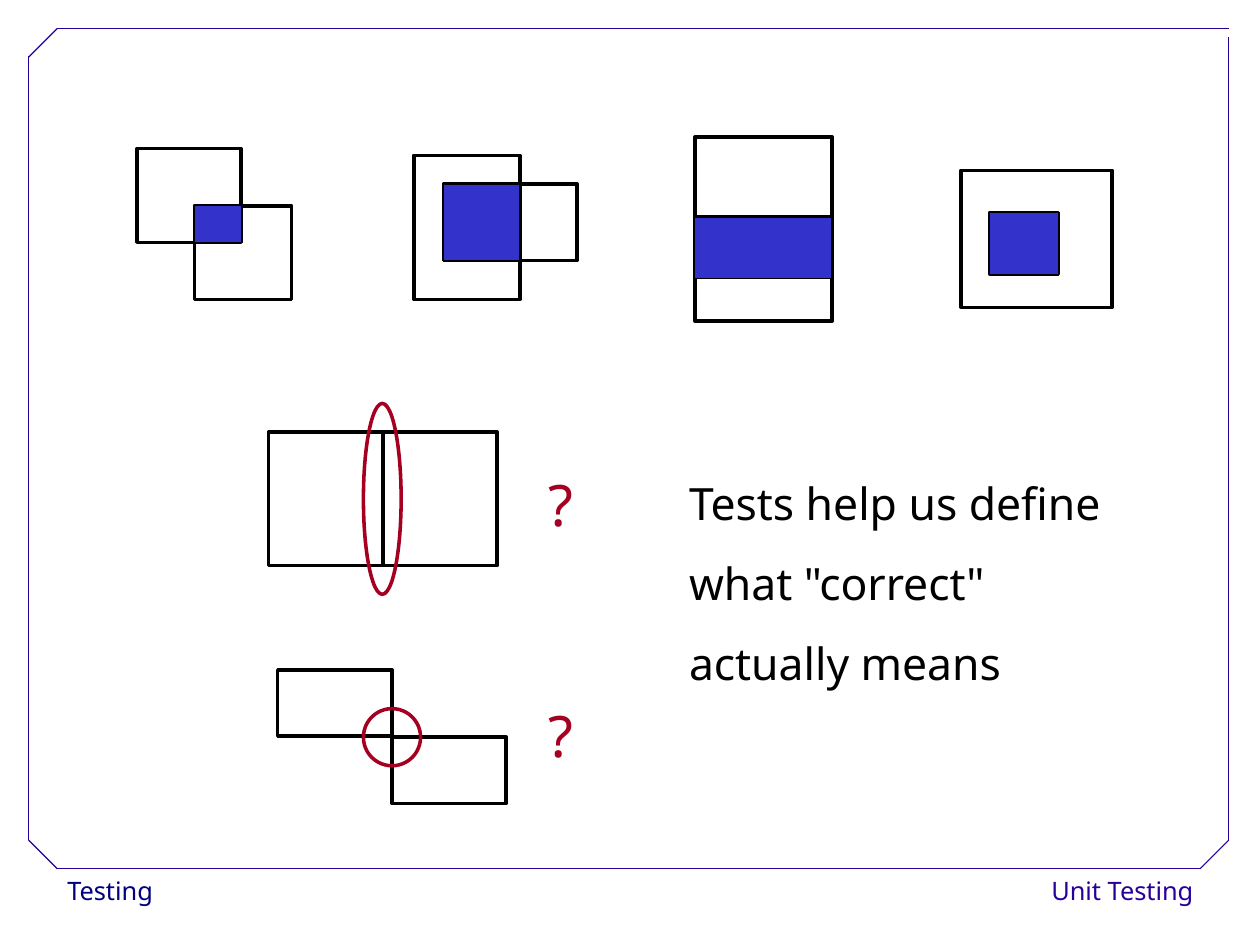
from pptx import Presentation
from pptx.dml.color import RGBColor
from pptx.enum.shapes import MSO_CONNECTOR, MSO_SHAPE
from pptx.enum.text import MSO_ANCHOR, PP_ALIGN
from pptx.oxml.ns import qn
from pptx.util import Cm, Pt
from lxml.etree import SubElement

PX = 9144
FONT = "Noto Sans"
BLACK, BLUE, RED, NAVY, EDGE = "000000", "3333CC", "A50021", "000080", "280099"
WHITE = "FFFFFF"
LEFT, RIGHT = PP_ALIGN.LEFT, PP_ALIGN.RIGHT

feet = [
    ((49, 760, 215, 40), "Testing", NAVY, LEFT),
    ((914, 760, 140, 40), "Unit Testing", EDGE, RIGHT),
]
frame = [
    (50, 760, 1050, 760), (25, 735, 25, 49), (50, 25, 1075, 25),
    (1075, 735, 1075, 32), (25, 50, 50, 25), (1050, 760, 1075, 735),
    (25, 735, 50, 760),
]
boxes = [
    (120, 130, 91, 82), (170, 180, 85, 82),
    (362, 136, 93, 126), (388, 161, 117, 67),
    (608, 120, 120, 120), (608, 190, 120, 91),
    (841, 149, 132, 120), (866, 186, 60, 54),
    (235, 378, 100, 117), (335, 378, 100, 117),
    (243, 586, 100, 58), (343, 645, 100, 58),
]
shared = [
    (170, 180, 41, 32), (388, 161, 67, 67),
    (608, 190, 120, 54), (866, 186, 60, 54),
]
rings = [(318, 353, 33, 167), (318, 620, 50, 50)]
texts = [
    ((470, 376, 141, 100), ["?"], 36, RED),
    ((470, 578, 141, 100), ["?"], 36, RED),
    ((593, 388, 482, 220),
     ["Tests help us define", 'what "correct"', "actually means"], 28, BLACK),
]


def rgb(code):
    return RGBColor.from_string(code)


def emu(spot):
    return [n * PX for n in spot]


def draw(kind, spot, line=None, width=0, fill=None):
    shape = slide.shapes.add_shape(kind, *emu(spot))
    shape.shadow.inherit = False
    if line:
        shape.line.color.rgb = rgb(line)
        shape.line.width = Pt(width)
    else:
        shape.line.fill.background()
    if fill:
        shape.fill.solid()
        shape.fill.fore_color.rgb = rgb(fill)
    else:
        shape.fill.background()
    return shape


def write(body, lines, size, color, align, space):
    for i, line in enumerate(lines):
        para = body.add_paragraph() if i else body.paragraphs[0]
        para.alignment = align
        para.line_spacing = space
        run = para.add_run()
        run.text = line
        run.font.name = FONT
        run.font.size = Pt(size)
        run.font.color.rgb = rgb(color)


deck = Presentation()
deck.slide_width, deck.slide_height = Cm(28), Cm(21)
slide = deck.slides.add_slide(deck.slide_layouts[6])

for spot, word, color, align in feet:
    body = draw(MSO_SHAPE.RECTANGLE, spot, fill=WHITE).text_frame
    body.word_wrap = False
    body.vertical_anchor = MSO_ANCHOR.TOP
    write(body, [word], 16, color, align, 1.02)
for ends in frame:
    edge = slide.shapes.add_connector(MSO_CONNECTOR.STRAIGHT, *emu(ends))
    edge.line.color.rgb = rgb(EDGE)
    edge.line.width = Pt(0.75)
    SubElement(edge.element.spPr, qn("a:effectLst"))
for spot in boxes:
    draw(MSO_SHAPE.RECTANGLE, spot, BLACK, 2.25)
for spot in shared:
    draw(MSO_SHAPE.RECTANGLE, spot, BLACK, 0.75, BLUE)
for spot in rings:
    draw(MSO_SHAPE.OVAL, spot, RED, 2.25)
for spot, lines, size, color in texts:
    body = slide.shapes.add_textbox(*emu(spot)).text_frame
    body.word_wrap = True
    write(body, lines, size, color, LEFT, 1.5)

deck.save("out.pptx")
